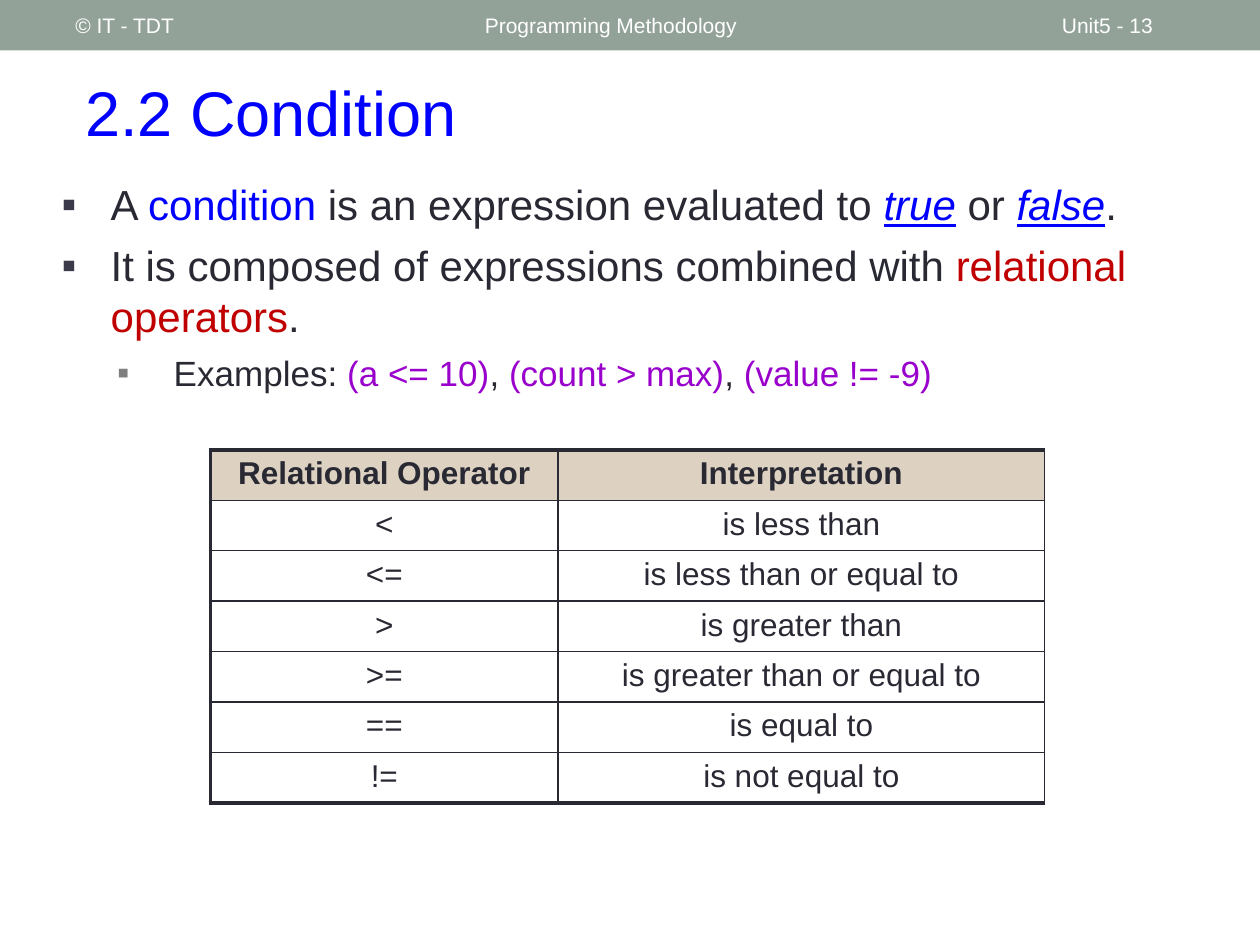
from typing import NamedTuple

from lxml.etree import SubElement
from pptx import Presentation
from pptx.dml.color import RGBColor
from pptx.enum.shapes import MSO_SHAPE as Preset
from pptx.enum.text import MSO_ANCHOR as Anchor, PP_ALIGN as Align
from pptx.oxml.ns import qn
from pptx.util import Inches, Pt

FONT = "Arial"
COLORS = {
    "band": "93A299", "white": "FFFFFF", "blue": "0000FF", "ink": "292934",
    "red": "C00000", "purple": "9900CC", "header": "DDD1C1",
    "bullet": "3A3A4A", "sub_bullet": "7F7F7F",
}


class Run(NamedTuple):
    text: str
    color: str = "ink"
    emphasis: bool = False
    bold: bool = False


class Label(NamedTuple):
    left: float
    top: float
    width: float
    height: float
    size: float
    run: Run


class Bullet(NamedTuple):
    level: int
    indent: float
    hanging: float
    size: float
    color: str
    runs: list[Run]


LABELS = [
    Label(0.58, 0.42, 9.17, 0.92, 36, Run("2.2 Condition", "blue")),
    Label(3.75, 0.02, 4.5, 0.36, 12, Run("Programming Methodology", "white")),
    Label(8.33, 0.02, 1.17, 0.36, 12, Run("Unit5 - 13", "white")),
    Label(0.5, 0.02, 3.17, 0.36, 12, Run("© IT - TDT", "white")),
]
BULLETS = [
    Bullet(0, 0.39, 0.39, 24, "bullet", [
        Run("A "), Run("condition", "blue"), Run(" is an expression evaluated to "),
        Run("true", "blue", emphasis=True), Run(" or "),
        Run("false", "blue", emphasis=True), Run("."),
    ]),
    Bullet(0, 0.39, 0.39, 24, "bullet", [
        Run("It is composed of expressions combined with "),
        Run("relational operators", "red"), Run("."),
    ]),
    Bullet(1, 0.89, 0.45, 20, "sub_bullet", [
        Run("Examples: "), Run("(a <= 10)", "purple"), Run(", "),
        Run("(count > max)", "purple"), Run(", "), Run("(value != -9)", "purple"),
    ]),
]
OPERATORS = [
    ("Relational Operator", "Interpretation"),
    ("<", "is less than"),
    ("<=", "is less than or equal to"),
    (">", "is greater than"),
    (">=", "is greater than or equal to"),
    ("==", "is equal to"),
    ("!=", "is not equal to"),
]
COLUMN_WIDTHS = [2.76, 3.86]
ROW_HEIGHT = 0.38
THIN, THICK = 1, 2.25


def rgb(name: str) -> RGBColor:
    """Return the named colour."""
    return RGBColor.from_string(COLORS[name])


def add_run(paragraph, run: Run, size: float) -> None:
    """Append one formatted run to a paragraph."""
    part = paragraph.add_run()
    part.text = run.text
    part.font.name = FONT
    part.font.size = Pt(size)
    part.font.color.rgb = rgb(run.color)
    part.font.bold = run.bold
    part.font.italic = run.emphasis
    part.font.underline = run.emphasis


def add_frame(slide, left: float, top: float, width: float, height: float):
    """Add a wrapping text box and return its text frame."""
    box = slide.shapes.add_textbox(Inches(left), Inches(top), Inches(width), Inches(height))
    box.text_frame.word_wrap = True
    return box.text_frame


def add_band(slide) -> None:
    """Draw the band across the top of the slide."""
    band = slide.shapes.add_shape(Preset.RECTANGLE, 0, 0, Inches(10), Inches(0.4))
    band.shadow.inherit = False
    band.fill.solid()
    band.fill.fore_color.rgb = rgb("band")
    band.line.fill.background()


def add_label(slide, label: Label) -> None:
    """Add a single vertically centred line of text."""
    frame = add_frame(slide, label.left, label.top, label.width, label.height)
    frame.vertical_anchor = Anchor.MIDDLE
    add_run(frame.paragraphs[0], label.run, label.size)


def add_bullets(slide, bullets: list[Bullet]) -> None:
    """Add the bulleted body text."""
    frame = add_frame(slide, 0.39, 1.37, 9.18, 2)
    for index, bullet in enumerate(bullets):
        paragraph = frame.add_paragraph() if index else frame.paragraphs[0]
        properties = paragraph._p.get_or_add_pPr()
        properties.set("marL", str(Inches(bullet.indent)))
        properties.set("indent", str(-Inches(bullet.hanging)))
        color = SubElement(properties, qn("a:buClr"))
        SubElement(color, qn("a:srgbClr"), val=COLORS[bullet.color])
        SubElement(properties, qn("a:buFont"), typeface=FONT)
        SubElement(properties, qn("a:buChar"), char="▪")
        paragraph.level = bullet.level
        paragraph.space_before = Pt(6 if index else 0)
        for run in bullet.runs:
            add_run(paragraph, run, bullet.size)


def set_borders(cell, widths: dict[str, float]) -> None:
    """Draw the cell edges with the given widths in points."""
    properties = cell._tc.get_or_add_tcPr()
    for position, (edge, width) in enumerate(widths.items()):
        line = SubElement(properties, qn(f"a:ln{edge}"), w=str(Pt(width)))
        fill = SubElement(line, qn("a:solidFill"))
        SubElement(fill, qn("a:srgbClr"), val=COLORS["ink"])
        properties.insert(position, line)


def add_operator_table(slide) -> None:
    """Add the table of relational operators."""
    count = len(OPERATORS)
    table = slide.shapes.add_table(
        count, len(COLUMN_WIDTHS), Inches(1.67), Inches(3.57),
        Inches(sum(COLUMN_WIDTHS)), Inches(ROW_HEIGHT * count)).table
    table.horz_banding = False
    for column, width in zip(table.columns, COLUMN_WIDTHS):
        column.width = Inches(width)
    for row_index, texts in enumerate(OPERATORS):
        table.rows[row_index].height = Inches(ROW_HEIGHT)
        is_header = row_index == 0
        for column_index, text in enumerate(texts):
            cell = table.cell(row_index, column_index)
            if is_header:
                cell.fill.solid()
                cell.fill.fore_color.rgb = rgb("header")
            else:
                cell.fill.background()
            paragraph = cell.text_frame.paragraphs[0]
            paragraph.alignment = Align.CENTER
            add_run(paragraph, Run(text, bold=is_header), 18)
            set_borders(cell, {
                "L": THIN if column_index else THICK,
                "R": THIN,
                "T": THICK if is_header else THIN,
                "B": THICK if row_index == count - 1 else THIN,
            })


def main() -> None:
    """Build and save the slide."""
    presentation = Presentation()
    presentation.slide_width = Inches(10)
    presentation.slide_height = Inches(7.5)
    slide = presentation.slides.add_slide(presentation.slide_layouts[6])
    add_band(slide)
    for label in LABELS:
        add_label(slide, label)
    add_bullets(slide, BULLETS)
    add_operator_table(slide)
    presentation.save("out.pptx")


if __name__ == "__main__":
    main()
